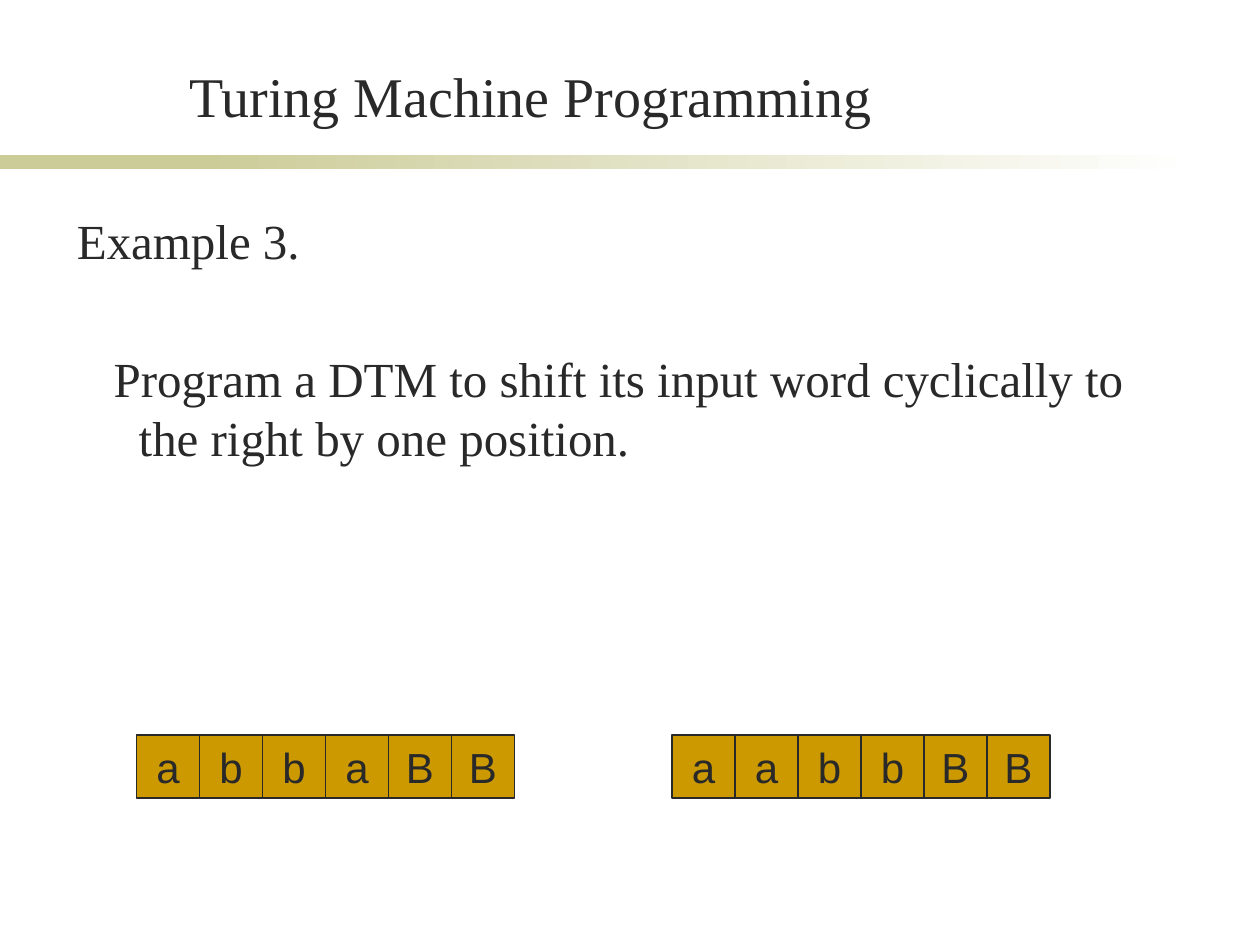
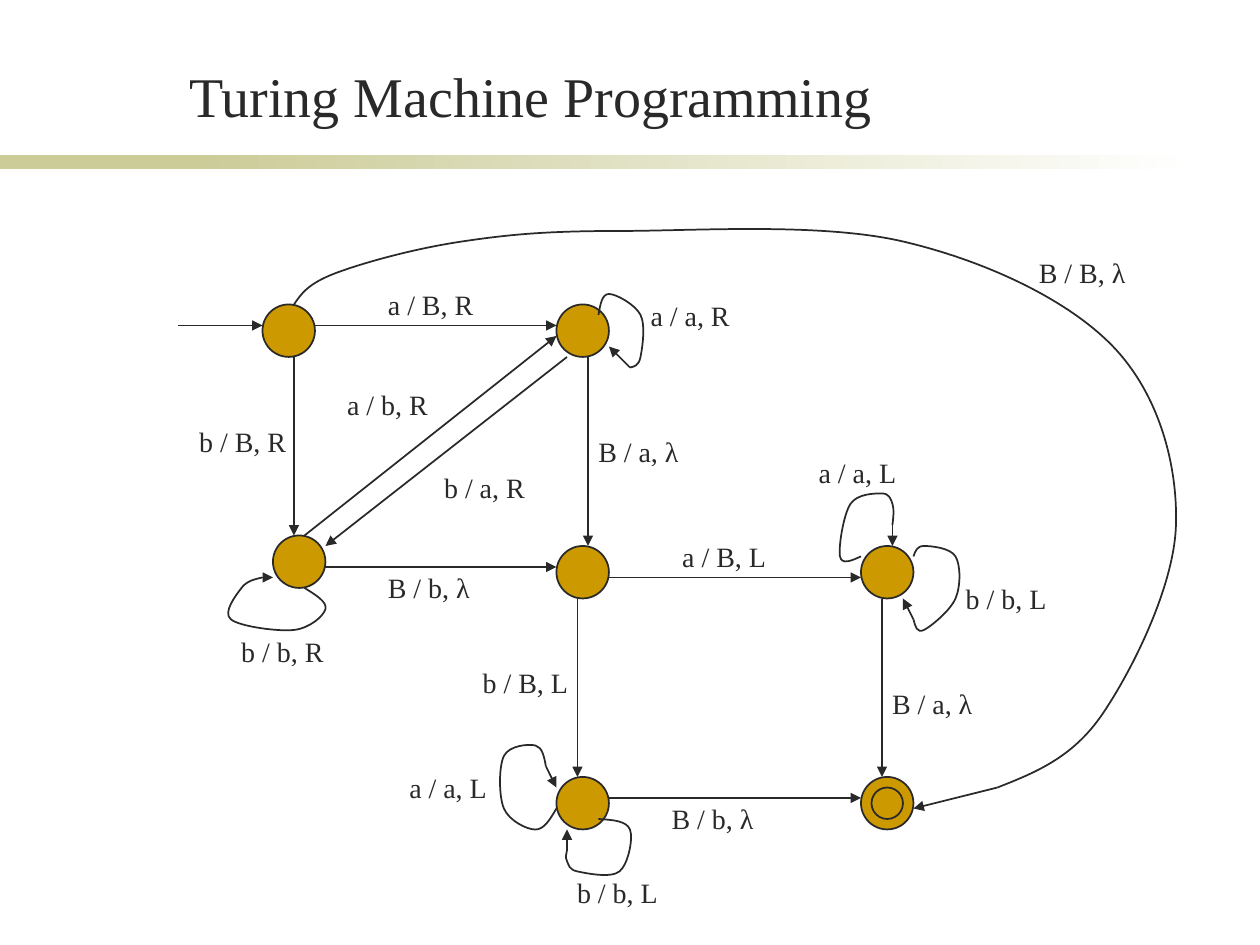
from dataclasses import dataclass

from lxml import etree
from pptx import Presentation
from pptx import util as u
from pptx.dml import color
from pptx.enum import shapes, text
from pptx.oxml import ns

COLORS = {"ink": "292929", "gold": "CC9900", "band": "CCCC99", "paper": "FFFFFF"}
SERIF, SANS = "Times New Roman", "Arial"
TITLE = "Turing Machine Programming"
CELL = 36
STATE_SIZE = 30
LABEL_HEIGHT = 26.6

Point = tuple[float, float]


@dataclass
class Tape:
    left: float
    top: float
    symbols: str


@dataclass
class Arrow:
    start: Point
    tip: Point


@dataclass
class CurvedArrow:
    """A smooth curve through knots, then a straight end to the tip."""
    knots: list[Point]
    tip: Point


@dataclass
class Label:
    wording: str
    left: float
    top: float
    width: float


TAPES = [Tape(78, 420, "abbaBB"), Tape(384, 420, "aabbBB")]

STATES: list[Point] = [
    (150, 174), (318, 174), (156, 306), (318, 312), (492, 312), (318, 444), (492, 444),
]

ARROWS = [
    Arrow((102, 186), (150, 186)),
    Arrow((180, 186), (318, 186)),
    Arrow((336, 204), (336, 312)),
    Arrow((168, 204), (168, 306)),
    Arrow((186, 324), (318, 324)),
    Arrow((348, 330), (492, 330)),
    Arrow((330, 342), (330, 444)),
    Arrow((504, 342), (504, 444)),
    Arrow((348, 456), (492, 456)),
    Arrow((174, 306), (318, 192)),
    Arrow((324, 204), (186, 312)),
]

CURVED_ARROWS = [
    CurvedArrow([(174, 336), (186, 348), (168, 360), (132, 354), (138, 336), (150, 330)],
                (156, 330)),
    CurvedArrow([(318, 462), (306, 474), (288, 462), (288, 432), (306, 426), (312, 438)],
                (318, 450)),
    CurvedArrow([(342, 468), (360, 474), (354, 498), (330, 498), (324, 492), (324, 486)],
                (324, 474)),
    CurvedArrow([(342, 180), (348, 168), (366, 180), (366, 204), (360, 210)],
                (348, 198)),
    CurvedArrow([(492, 318), (480, 318), (486, 288), (504, 282), (510, 288), (510, 300)],
                (510, 312)),
    CurvedArrow([(522, 318), (528, 312), (546, 318), (546, 342), (528, 360), (522, 354)],
                (516, 342)),
    CurvedArrow([(168, 174), (192, 156), (264, 138), (354, 132), (516, 138), (636, 198),
                 (672, 300), (630, 408), (570, 450)],
                (522, 462)),
]

LABELS = [
    Label("B / B, λ", 586.6, 142.6, 64.8),
    Label("a / B, R", 214.6, 160.6, 63.4),
    Label("a / a, R", 364.7, 167, 59.8),
    Label("b / B, R", 106.7, 239, 64.1),
    Label("b / a, R", 246.7, 265.4, 60.5),
    Label("a / b, R", 191.3, 218.2, 60.5),
    Label("B / a, λ", 334.8, 244.8, 61.2),
    Label("b / b, R", 130.8, 358.9, 61.9),
    Label("B / b, λ", 214.6, 322.6, 62.6),
    Label("b / B, L", 268.7, 376.6, 63.4),
    Label("a / a, L", 226.8, 437, 59),
    Label("b / b, L", 322.7, 496.8, 60.5),
    Label("B / b, λ", 376.7, 454.3, 62.6),
    Label("B / a, λ", 502.7, 388.8, 61.2),
    Label("a / a, L", 460.7, 257, 59),
    Label("b / b, L", 544.8, 329, 60.5),
    Label("a / B, L", 382.8, 304.6, 62.6),
]


def rgb(name: str) -> color.RGBColor:
    return color.RGBColor.from_string(COLORS[name])


def box_points(left: float, top: float, width: float, height: float) -> list[u.Length]:
    return [u.Pt(value) for value in (left, top, width, height)]


def format_paragraph(para, size: float, font: str = SERIF, align=text.PP_ALIGN.LEFT) -> None:
    para.alignment = align
    for span in para.runs:
        span.font.size = u.Pt(size)
        span.font.name = font
        span.font.color.rgb = rgb("ink")


def outline(shape) -> None:
    shape.line.color.rgb = rgb("ink")
    shape.line.width = u.Pt(1)


def add_filled(page, kind, left: float, top: float, width: float, height: float):
    shape = page.shapes.add_shape(kind, *box_points(left, top, width, height))
    shape.shadow.inherit = False
    shape.fill.solid()
    shape.fill.fore_color.rgb = rgb("gold")
    outline(shape)
    return shape


def add_bands(page, layout) -> None:
    """Draw the two title bands and move them to the layout that all pages share."""
    for left, width in ((0, 168), (114, 570)):
        band = add_filled(page, shapes.MSO_SHAPE.RECTANGLE, left, 88.6, width, 8)
        band.line.fill.background()
        band.fill.fore_color.rgb = rgb("band")
        layout.shapes.element.append(band.element)
    band.fill.gradient()
    band.fill.gradient_angle = 0
    for stop, position, name in zip(band.fill.gradient_stops, (0, 1), ("band", "paper")):
        stop.position = position
        stop.color.rgb = rgb(name)


def add_page(deck, layout):
    page = deck.slides.add_slide(layout)
    title = page.shapes.title
    title.left, title.top, title.width, title.height = box_points(82.3, 31.7, 442.1, 45.4)
    title.text_frame.text = TITLE
    title.text_frame.vertical_anchor = text.MSO_ANCHOR.BOTTOM
    format_paragraph(title.text_frame.paragraphs[0], 32, align=text.PP_ALIGN.CENTER)
    return page


def add_task(page) -> None:
    box = page.shapes.add_textbox(*box_points(36.9, 116.6, 640.8, 345.6))
    frame = box.text_frame
    frame.word_wrap = True
    frame.text = "Example 3."
    task = frame.add_paragraph()
    task.text = "Program a DTM to shift its input word cyclically to the right by one position."
    task.space_before = u.Pt(45.3)
    for para, indent in zip(frame.paragraphs, (-35.3, -14.3)):
        properties = para._p.get_or_add_pPr()
        properties.set("marL", str(u.Pt(35.3)))
        properties.set("indent", str(u.Pt(indent)))
        format_paragraph(para, 28)


def add_tape(page, tape: Tape) -> None:
    for index, symbol in enumerate(tape.symbols):
        cell = add_filled(page, shapes.MSO_SHAPE.RECTANGLE,
                          tape.left + index * CELL, tape.top, CELL, CELL)
        frame = cell.text_frame
        frame.word_wrap = False
        frame.vertical_anchor = text.MSO_ANCHOR.MIDDLE
        frame.text = symbol
        format_paragraph(frame.paragraphs[0], 24, SANS, text.PP_ALIGN.CENTER)


def add_arrow(page, arrow: Arrow) -> None:
    ends = [u.Pt(value) for value in (*arrow.start, *arrow.tip)]
    connector = page.shapes.add_connector(shapes.MSO_CONNECTOR.STRAIGHT, *ends)
    outline(connector)
    etree.SubElement(connector.get_or_add_ln(), ns.qn("a:tailEnd"), type="triangle")
    etree.SubElement(connector.element.spPr, ns.qn("a:effectLst"))


def bezier_axis(knots: list[float]) -> list[float]:
    """One coordinate of the first knot, then of two controls and a knot per segment."""
    last = len(knots) - 1
    slopes = [(knots[min(i + 1, last)] - knots[max(i - 1, 0)]) / 6 for i in range(last + 1)]
    values = [knots[0]]
    for i in range(last):
        start, end = knots[i], knots[i + 1]
        leave, arrive = start + slopes[i], end - slopes[i + 1]
        if i == 0:
            leave = (start + arrive) / 2
        if i + 1 == last:
            arrive = (leave + end) / 2
        values += [leave, arrive, end]
    return values


def bend(curve) -> None:
    """Turn every three line segments of a freeform into one cubic segment."""
    lines = list(curve.element.iter(ns.qn("a:lnTo")))
    outline_element = lines[0].getparent()
    for first in range(0, len(lines), 3):
        cubic = etree.SubElement(outline_element, ns.qn("a:cubicBezTo"))
        for line in lines[first:first + 3]:
            cubic.append(line[0])
            outline_element.remove(line)


def add_curved_arrow(page, arrow: CurvedArrow) -> None:
    axes = [bezier_axis(list(axis)) for axis in zip(*arrow.knots)]
    points = [(u.Pt(x), u.Pt(y)) for x, y in zip(*axes)]
    builder = page.shapes.build_freeform(*points[0])
    builder.add_line_segments(points[1:], close=False)
    curve = builder.convert_to_shape()
    bend(curve)
    curve.shadow.inherit = False
    curve.fill.background()
    outline(curve)
    add_arrow(page, Arrow(arrow.knots[-1], arrow.tip))


def add_label(page, label: Label) -> None:
    box = page.shapes.add_textbox(
        *box_points(label.left, label.top, label.width, LABEL_HEIGHT))
    frame = box.text_frame
    frame.word_wrap = False
    frame.auto_size = text.MSO_AUTO_SIZE.SHAPE_TO_FIT_TEXT
    frame.text = label.wording
    format_paragraph(frame.paragraphs[0], 16)


def add_diagram(page) -> None:
    for left, top in STATES:
        add_filled(page, shapes.MSO_SHAPE.OVAL, left, top, STATE_SIZE, STATE_SIZE)
    for arrow in ARROWS:
        add_arrow(page, arrow)
    for curved in CURVED_ARROWS:
        add_curved_arrow(page, curved)
    for label in LABELS:
        add_label(page, label)
    final_left, final_top = STATES[-1]
    add_filled(page, shapes.MSO_SHAPE.OVAL, final_left + 6, final_top + 6, 18, 18)


def main() -> None:
    deck = Presentation()
    deck.slide_width, deck.slide_height = u.Pt(720), u.Pt(540)
    layout = deck.slide_layouts.get_by_name("Title Only")

    task_page = add_page(deck, layout)
    add_bands(task_page, layout)
    add_task(task_page)
    for tape in TAPES:
        add_tape(task_page, tape)

    add_diagram(add_page(deck, layout))
    deck.save("out.pptx")


if __name__ == "__main__":
    main()
